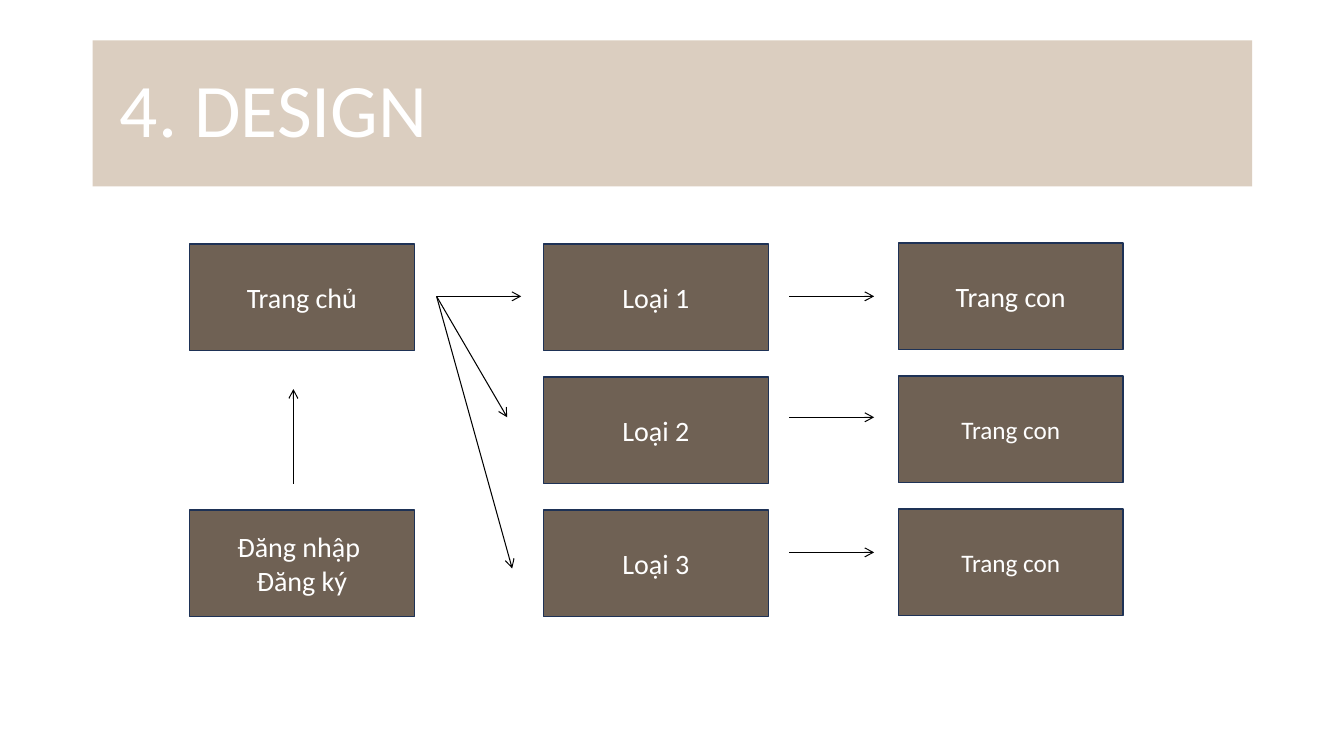
from dataclasses import dataclass

from lxml.etree import SubElement
from pptx import Presentation
from pptx.dml.color import RGBColor
from pptx.enum.shapes import MSO_CONNECTOR as Connector, MSO_SHAPE as Preset
from pptx.enum.text import MSO_ANCHOR as Anchor, PP_ALIGN as Align
from pptx.oxml.ns import qn
from pptx.util import Pt

EMU_PER_PX = 9144
BOX_WIDTH, BOX_HEIGHT = 223, 106
LEFT_COLUMN, MIDDLE_COLUMN, RIGHT_COLUMN = 188, 539, 891
FIRST_ROW, ROW_PITCH = 242, 132


@dataclass(frozen=True)
class Theme:
    """Colours, font and type sizes of the slide."""
    font: str = "Calibri"
    text: str = "FFFFFF"
    banner: str = "D2C1AF"
    banner_alpha: int = 78
    box: str = "6F6154"
    outline: str = "1E3256"
    arrow: str = "000000"
    title_size: int = 54
    box_size: int = 20
    small_size: int = 18


THEME = Theme()


def px(length):
    """Turn px into EMU."""
    return length * EMU_PER_PX


def rgb(code):
    """Turn a hex code into a colour."""
    return RGBColor.from_string(code)


def row_top(row):
    """Give the top of a row of boxes."""
    return FIRST_ROW + row * ROW_PITCH


def add_rectangle(slide, left, top, width, height, fill):
    """Add a flat filled rectangle."""
    shape = slide.shapes.add_shape(Preset.RECTANGLE, px(left), px(top), px(width), px(height))
    shape.shadow.inherit = False
    shape.fill.solid()
    shape.fill.fore_color.rgb = rgb(fill)
    return shape


def write_lines(shape, lines, size, align):
    """Write one paragraph per line, centred vertically."""
    frame = shape.text_frame
    frame.word_wrap = True
    frame.vertical_anchor = Anchor.MIDDLE
    for index, line in enumerate(lines):
        paragraph = frame.add_paragraph() if index else frame.paragraphs[0]
        paragraph.alignment = align
        run = paragraph.add_run()
        run.text = line
        run.font.name = THEME.font
        run.font.size = Pt(size)
        run.font.color.rgb = rgb(THEME.text)


def add_banner(slide, title):
    """Add the translucent title banner."""
    banner = add_rectangle(slide, 92, 40, 1150, 145, THEME.banner)
    banner.line.fill.background()
    color = banner.fill._xPr.find(f"{qn('a:solidFill')}/{qn('a:srgbClr')}")
    SubElement(color, qn("a:alpha"), val=str(THEME.banner_alpha * 1000))
    write_lines(banner, [title], THEME.title_size, Align.LEFT)
    banner.text_frame.margin_left = px(27)
    banner.text_frame.paragraphs[0].line_spacing = 0.9


def add_box(slide, left, top, lines, size=THEME.box_size):
    """Add a page box of the site map."""
    box = add_rectangle(slide, left, top, BOX_WIDTH, BOX_HEIGHT, THEME.box)
    box.line.color.rgb = rgb(THEME.outline)
    box.line.width = Pt(1)
    write_lines(box, lines, size, Align.CENTER)


def add_arrow(slide, start, end):
    """Add a thin line with an open arrowhead at its end."""
    arrow = slide.shapes.add_connector(Connector.STRAIGHT, *map(px, start + end))
    arrow.line.color.rgb = rgb(THEME.arrow)
    arrow.line.width = Pt(0.75)
    properties = arrow.element.spPr
    SubElement(properties.find(qn("a:ln")), qn("a:tailEnd"), type="arrow")
    SubElement(properties, qn("a:effectLst"))


def main():
    """Build the slide and save it."""
    presentation = Presentation()
    presentation.slide_width, presentation.slide_height = px(1333), px(750)
    slide = presentation.slides.add_slide(presentation.slide_layouts[6])

    add_banner(slide, "4. DESIGN")
    add_box(slide, LEFT_COLUMN, row_top(0), ["Trang chủ"])
    add_box(slide, LEFT_COLUMN, row_top(2), ["Đăng nhập ", "Đăng ký"])
    add_arrow(slide, (291, 480), (291, 386))

    child_sizes = (THEME.box_size, THEME.small_size, THEME.small_size)
    branch_ends = ((517, 294), (503, 414), (508, 564))
    child_arrow_heights = (294, 414, 548)
    rows = zip(child_sizes, branch_ends, child_arrow_heights)
    for row, (size, branch_end, height) in enumerate(rows):
        add_box(slide, MIDDLE_COLUMN, row_top(row), [f"Loại {row + 1}"])
        add_box(slide, RIGHT_COLUMN, row_top(row) - 1, ["Trang con"], size)
        add_arrow(slide, (433, 294), branch_end)
        add_arrow(slide, (783, height), (867, height))

    presentation.save("out.pptx")


if __name__ == "__main__":
    main()
